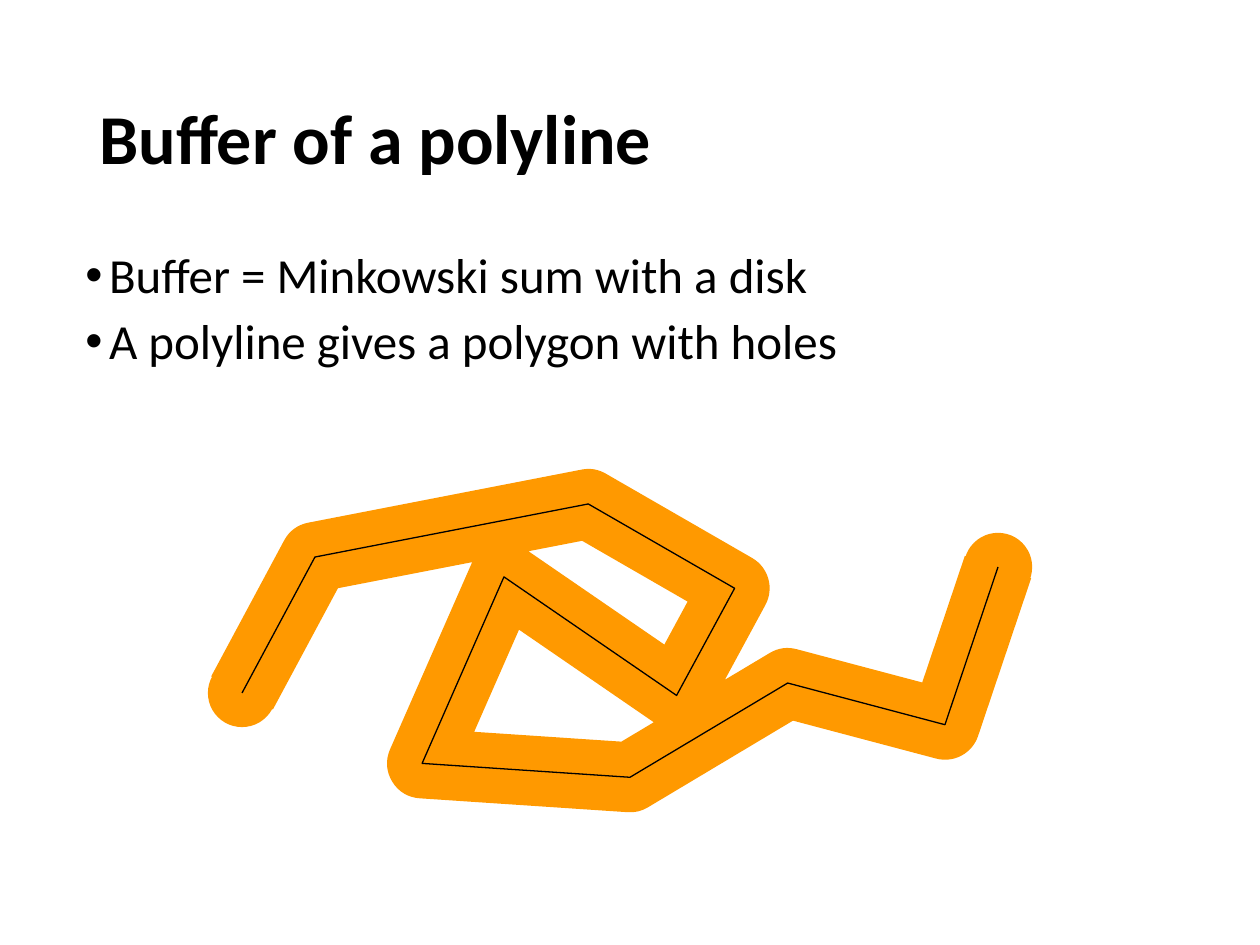
from lxml import etree
from pptx import Presentation
from pptx.dml.color import RGBColor
from pptx.enum.shapes import MSO_SHAPE
from pptx.enum.text import MSO_ANCHOR, PP_ALIGN
from pptx.oxml.ns import qn
from pptx.util import Cm, Pt

OVAL = MSO_SHAPE.OVAL
LEFT, MIDDLE, TOP = PP_ALIGN.LEFT, MSO_ANCHOR.MIDDLE, MSO_ANCHOR.TOP
BLACK = RGBColor(0x00, 0x00, 0x00)
ORANGE = RGBColor(0xFF, 0x99, 0x00)
FONT = "Calibri"

# Polyline vertices in cm, relative to the figure box
VERTICES = [(0, 3.81), (1.47, 1.07), (6.98, 0), (9.93, 1.7), (8.76, 3.86),
            (5.28, 1.47), (3.63, 5.23), (7.82, 5.51), (11, 3.61),
            (14.17, 4.45), (15.24, 1.27)]
BULLETS = ["Buffer = Minkowski sum with a disk",
           "A polyline gives a polygon with holes"]


def add_text(p, text, size, bold=False, before=0):
    p.alignment = LEFT
    p.line_spacing = 0.9
    p.space_before = Pt(before)
    r = p.add_run()
    r.text = text
    r.font.name = FONT
    r.font.size = Pt(size)
    r.font.bold = bold
    r.font.color.rgb = BLACK


def set_bullet(p, indent):
    pPr = p._p.get_or_add_pPr()
    pPr.set("marL", str(indent))
    pPr.set("indent", str(-indent))
    etree.SubElement(pPr, qn("a:buFont"), typeface="Arial")
    etree.SubElement(pPr, qn("a:buChar"), char="•")


def add_title(s, x, y, w, h, text):
    sp = s.shapes.title
    sp.left, sp.top, sp.width, sp.height = Cm(x), Cm(y), Cm(w), Cm(h)
    tf = sp.text_frame
    tf.vertical_anchor = MIDDLE
    add_text(tf.paragraphs[0], text, 40, bold=True)


def add_bullets(s, x, y, w, h, lines):
    tf = s.shapes.add_textbox(Cm(x), Cm(y), Cm(w), Cm(h)).text_frame
    tf.word_wrap = True
    tf.vertical_anchor = TOP
    for i, line in enumerate(lines):
        p = tf.add_paragraph() if i else tf.paragraphs[0]
        add_text(p, line, 28, before=7.5)
        set_bullet(p, Cm(0.48))


def add_polyline(s, x, y, color, width):
    points = [(Cm(x + px), Cm(y + py)) for px, py in VERTICES]
    builder = s.shapes.build_freeform(*points[0])
    builder.add_line_segments(points[1:], close=False)
    sp = builder.convert_to_shape()
    sp.shadow.inherit = False
    sp.fill.background()
    sp.line.color.rgb = color
    sp.line.width = Pt(width)
    etree.SubElement(sp.line._get_or_add_ln(), qn("a:round"))


def add_buffer_figure(s, x, y, disk=1.27):
    # Disks cap both ends of the buffer
    for px, py in (VERTICES[-1], VERTICES[0]):
        sp = s.shapes.add_shape(OVAL, Cm(x + px - disk / 2),
                                Cm(y + py - disk / 2), Cm(disk), Cm(disk))
        sp.shadow.inherit = False
        sp.fill.solid()
        sp.fill.fore_color.rgb = ORANGE
        sp.line.color.rgb = ORANGE
        sp.line.width = Pt(3)
    # Wide buffer stroke, then the polyline itself
    add_polyline(s, x, y, ORANGE, 40)
    add_polyline(s, x, y, BLACK, 0.75)


prs = Presentation()
prs.slide_width, prs.slide_height = Cm(25.4), Cm(19.05)
s = prs.slides.add_slide(prs.slide_layouts[5])
add_title(s, 1.75, 1.02, 21.9, 3.68, "Buffer of a polyline")
add_bullets(s, 1.47, 4.93, 22.43, 3.89, BULLETS)
add_buffer_figure(s, 4.88, 10.16)
prs.save("out.pptx")
